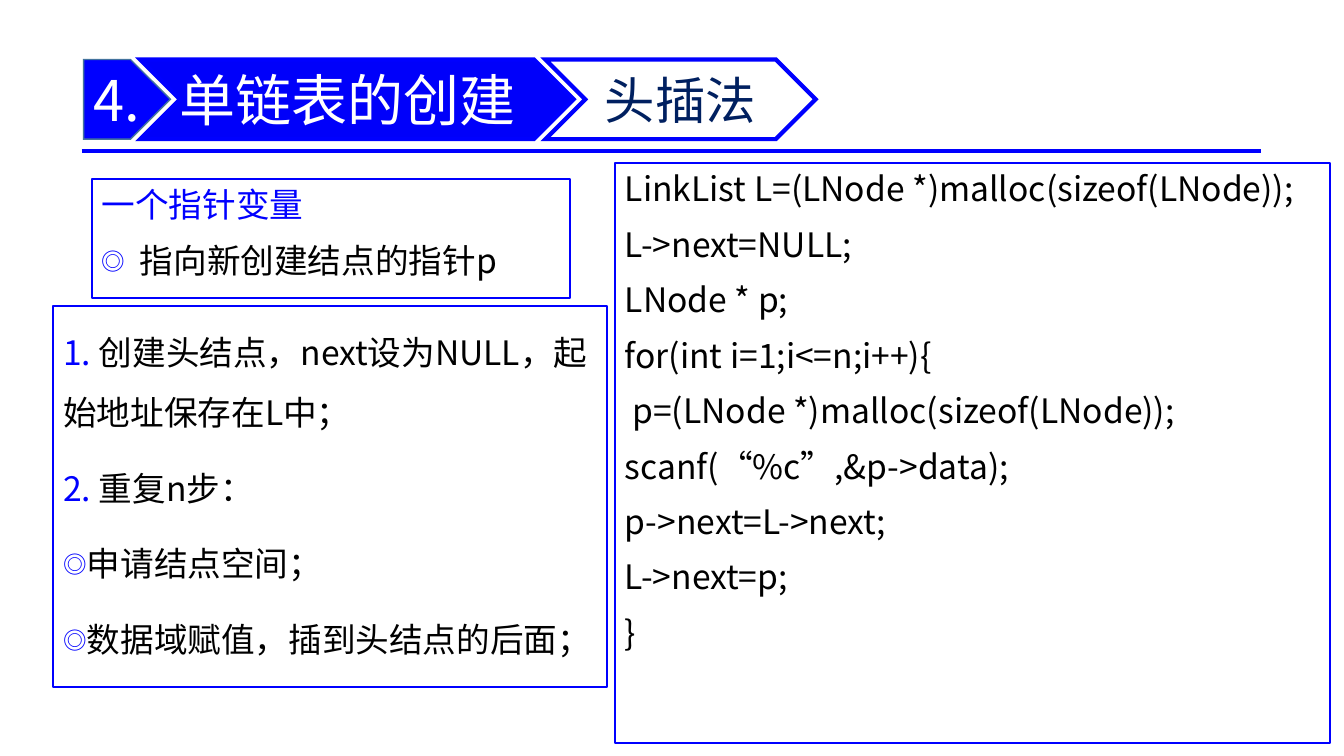
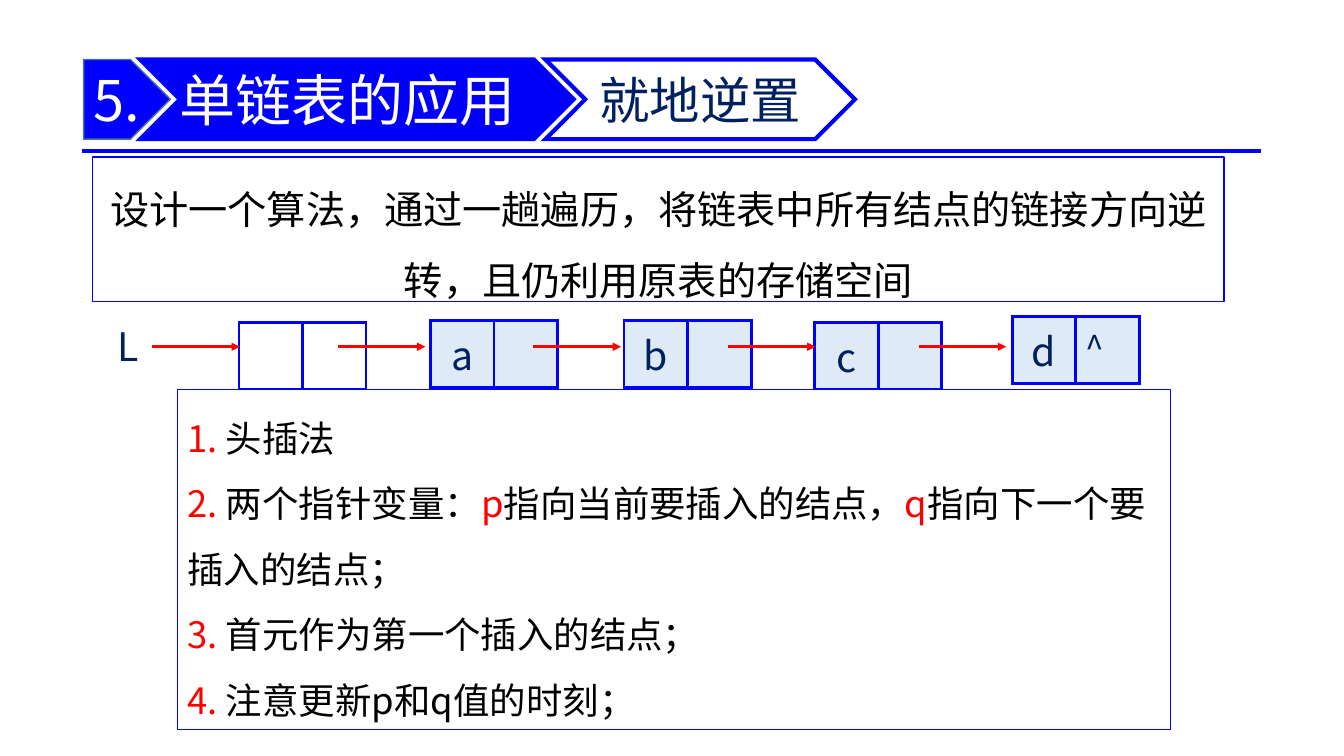
from dataclasses import dataclass

from lxml.etree import SubElement
from pptx import Presentation
from pptx.dml.color import RGBColor
from pptx.enum.shapes import MSO_CONNECTOR, MSO_SHAPE
from pptx.enum.text import MSO_ANCHOR, MSO_AUTO_SIZE, PP_ALIGN
from pptx.oxml.ns import qn
from pptx.util import Pt

PX = 9144  # EMU in one px, 100 px to the inch


@dataclass(frozen=True)
class Theme:
    font: str = "Noto Sans CJK SC"
    blue: str = "0000FF"
    band: str = "0000FA"
    edge: str = "43739E"
    navy: str = "002060"
    red: str = "FF0000"
    black: str = "000000"
    white: str = "FFFFFF"
    pale: str = "DEEBF7"
    title: int = 40
    topic: int = 36
    large: int = 28
    steps: int = 26
    body: int = 24


@dataclass(frozen=True)
class Box:
    x: int
    y: int
    w: int
    h: int

    def emu(self):
        return [v * PX for v in (self.x, self.y, self.w, self.h)]

    def inner(self, dx, dy, w, h):
        return Box(self.x + dx, self.y + dy, w, h)


T = Theme()


def rgb(color):
    return RGBColor.from_string(color)


def paint(sp, fill, line, width):
    sp.fill.solid()
    sp.fill.fore_color.rgb = rgb(fill)
    sp.line.color.rgb = rgb(line)
    sp.line.width = Pt(width)


# Text
def add_runs(p, runs, size):
    for text, color in runs:
        r = p.add_run()
        r.text = text
        r.font.size = Pt(size)
        r.font.bold = False
        r.font.name = T.font
        r.font.color.rgb = rgb(color)
        SubElement(r._r.get_or_add_rPr(), qn("a:ea"), typeface=T.font)


def add_bullet(p, hang):
    pPr = p._p.get_or_add_pPr()
    pPr.set("marL", str(hang * PX))
    pPr.set("indent", str(-hang * PX))
    color = SubElement(pPr, qn("a:buClr"))
    SubElement(color, qn("a:srgbClr"), val=T.blue)
    SubElement(pPr, qn("a:buSzPct"), val="70000")
    SubElement(pPr, qn("a:buFont"), typeface=T.font)
    SubElement(pPr, qn("a:buChar"), char="◎")


def write(tf, paragraphs, size, align=PP_ALIGN.LEFT, leading=1, before=0, after=0, hangs=()):
    """Fill a frame; hangs maps paragraph numbers to bullet indents."""
    tf.word_wrap = True
    hangs = dict(hangs)
    for i, runs in enumerate(paragraphs):
        p = tf.add_paragraph() if i else tf.paragraphs[0]
        p.alignment = align
        p.line_spacing = float(leading)
        p.space_before = Pt(before)
        p.space_after = Pt(after)
        if i in hangs:
            add_bullet(p, hangs[i])
        add_runs(p, runs, size)


def add_panel(s, box, paragraphs, size, width, **layout):
    sp = s.shapes.add_textbox(*box.emu())
    paint(sp, T.white, T.blue, width)
    write(sp.text_frame, paragraphs, size, **layout)


# Lines
def add_line(s, x1, x2, y, color, width, arrow=False):
    line = s.shapes.add_connector(MSO_CONNECTOR.STRAIGHT, x1 * PX, y * PX, x2 * PX, y * PX)
    line.line.color.rgb = rgb(color)
    line.line.width = Pt(width)
    if arrow:
        SubElement(line.line._get_or_add_ln(), qn("a:tailEnd"), type="triangle")
    SubElement(line.element.spPr, qn("a:effectLst"))
    return line


def add_layout_rule(s):
    """Move the rule under the header to the layout that the slides share."""
    line = add_line(s, 81, 1251, 150, T.blue, 3)
    line.element.nvCxnSpPr.cNvPr.set("id", "20")
    s.slide_layout.shapes.element.append(line.element)


# Header: number, section title, topic
def add_arrow_band(s, kind, box, fill, line, width):
    sp = s.shapes.add_shape(kind, *box.emu())
    sp.shadow.inherit = False
    paint(sp, fill, line, width)
    SubElement(sp.line._get_or_add_ln(), qn("a:miter"), lim="800000")
    sp.text_frame.vertical_anchor = MSO_ANCHOR.MIDDLE
    return sp


def add_header(s, box, number, section, topic, topic_width):
    plate = add_arrow_band(s, MSO_SHAPE.PENTAGON, box.inner(0, 0, 86, box.h), T.blue, T.edge, 1)
    plate.text_frame.margin_right = 0
    write(plate.text_frame, [[(number, T.white)]], T.title)
    add_arrow_band(s, MSO_SHAPE.CHEVRON, box.inner(56, 0, 430, box.h), T.band, T.blue, 3)

    title = s.shapes.title
    title.left, title.top, title.width, title.height = box.inner(91, -15, 457, 108).emu()
    s.shapes.element.append(title.element)  # in front of its band
    tf = title.text_frame
    tf.auto_size = MSO_AUTO_SIZE.NONE
    tf.vertical_anchor = MSO_ANCHOR.MIDDLE
    tf.margin_left, tf.margin_right = 4 * PX, 0
    tf.margin_top = tf.margin_bottom = 2 * PX
    write(tf, [[(section, T.white)]], T.title)

    tab = add_arrow_band(s, MSO_SHAPE.CHEVRON, box.inner(458, 0, topic_width, box.h),
                         T.white, T.blue, 3)
    write(tab.text_frame, [[(topic, T.navy)]], T.topic, align=PP_ALIGN.CENTER)


# Linked list
def style_cell(cell, fill):
    tcPr = cell._tc.get_or_add_tcPr()
    for side in ("lnL", "lnR", "lnT", "lnB"):
        ln = SubElement(tcPr, qn("a:" + side), w=str(int(Pt(2.25))))
        color = SubElement(ln, qn("a:solidFill"))
        SubElement(color, qn("a:srgbClr"), val=T.blue)
    cell.fill.solid()
    cell.fill.fore_color.rgb = rgb(fill)
    cell.margin_left = cell.margin_right = 10 * PX
    cell.margin_top = cell.margin_bottom = 5 * PX


def add_node(s, box, data, link, fill):
    table = s.shapes.add_table(1, 2, *box.emu()).table
    table.first_row = table.horz_banding = False
    for col in table.columns:
        col.width = box.w // 2 * PX
    for cell in table.rows[0].cells:
        style_cell(cell, fill)
    left, right = table.rows[0].cells
    if data:
        left.vertical_anchor = MSO_ANCHOR.MIDDLE
        p = left.text_frame.paragraphs[0]
        p.alignment = PP_ALIGN.CENTER
        add_runs(p, [(data, T.navy)], T.large)
    if link:
        add_runs(right.text_frame.paragraphs[0], [(link, T.navy)], T.body)


def add_linked_list(s, box):
    nodes = [  # left, top, height, data, link, fill
        (130, 6, 66, "", "", T.white),
        (320, 4, 66, "a", "", T.pale),
        (512, 4, 66, "b", "", T.pale),
        (701, 6, 57, "c", "", T.pale),
        (897, 0, 66, "d", "^", T.pale),
    ]
    for left, top, height, data, link, fill in nodes:
        add_node(s, box.inner(left, top, 126, height), data, link, fill)
    for start in (44, 228, 422, 615, 804):
        x = box.x + start
        add_line(s, x, x + 87, box.y + 30, T.red, 2, arrow=True)
    head = s.shapes.add_textbox(*box.inner(0, 1, 36, 57).emu())
    write(head.text_frame, [[("L", T.navy)]], T.large)


# Slides
def build_creation(s):
    spacing = {"before": 0.2 * T.body, "after": 6}
    steps = [
        [("1. ", T.blue), ("创建头结点，next设为NULL，起始地址保存在L中；", T.black)],
        [("2. ", T.blue), ("重复n步：", T.black)],
        [("申请结点空间；", T.black)],
        [("数据域赋值，插到头结点的后面；", T.black)],
    ]
    add_panel(s, Box(53, 304, 549, 378), steps, T.body, 1.5,
              leading=1.5, hangs={2: 21, 3: 21}, **spacing)
    code = [
        "LinkList L=(LNode *)malloc(sizeof(LNode));",
        "L->next=NULL;",
        "LNode * p;",
        "for(int i=1;i<=n;i++){",
        " p=(LNode *)malloc(sizeof(LNode));",
        "scanf(“%c”,&p->data);",
        "p->next=L->next;",
        "L->next=p;",
        "}",
    ]
    add_panel(s, Box(610, 162, 709, 575), [[(text, T.black)] for text in code],
              T.body, 1.5, **spacing)
    pointer = [[("一个指针变量", T.blue)], [("指向新创建结点的指针p", T.black)]]
    add_panel(s, Box(91, 178, 474, 118), pointer, T.body, 1.5, hangs={1: 38}, **spacing)


def build_reversal(s):
    add_linked_list(s, Box(107, 314, 1023, 70))
    steps = [
        [("1. ", T.red), ("头插法", T.black)],
        [("2. ", T.red), ("两个指针变量：", T.black), ("p", T.red),
         ("指向当前要插入的结点，", T.black), ("q", T.red),
         ("指向下一个要插入的结点；", T.black)],
        [("3. ", T.red), ("首元作为第一个插入的结点；", T.black)],
        [("4. ", T.red), ("注意更新p和q值的时刻；", T.black)],
    ]
    add_panel(s, Box(176, 386, 985, 338), steps, T.steps, 0.75, leading=1.5)
    task = "设计一个算法，通过一趟遍历，将链表中所有结点的链接方向逆转，且仍利用原表的存储空间"
    add_panel(s, Box(92, 156, 1122, 143), [[(task, T.black)]], T.large, 1,
              align=PP_ALIGN.CENTER, leading=1.5, before=0.2 * T.large)


def main():
    prs = Presentation()
    prs.slide_width, prs.slide_height = 1333 * PX, 750 * PX
    slides = [
        (build_creation, "4.", "单链表的创建", "头插法", 268),
        (build_reversal, "5.", "单链表的应用", "就地逆置", 307),
    ]
    for build, *heading in slides:
        s = prs.slides.add_slide(prs.slide_layouts[5])
        build(s)
        add_header(s, Box(83, 59, 765, 79), *heading)
    add_layout_rule(prs.slides[0])
    prs.save("out.pptx")


if __name__ == "__main__":
    main()
